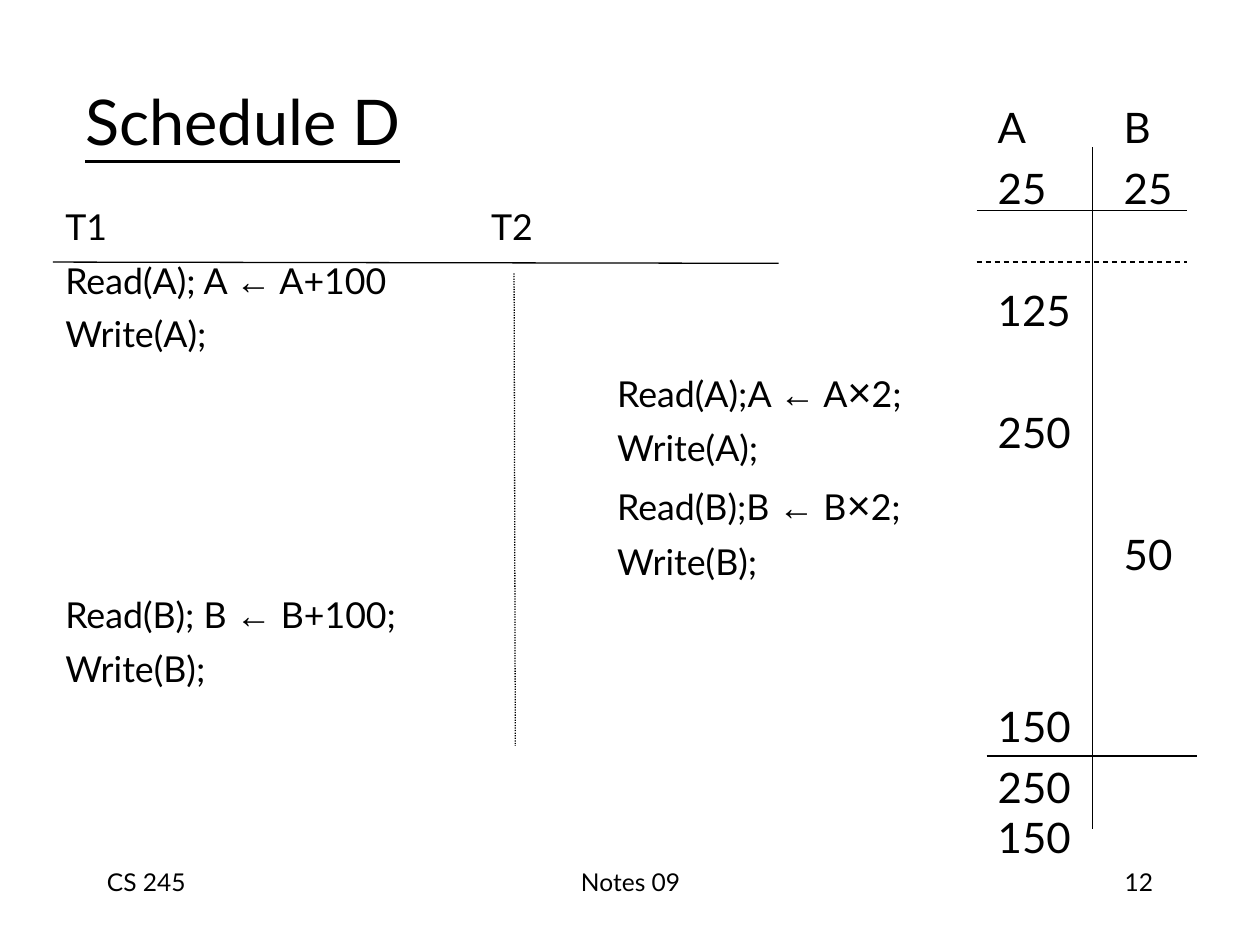
from dataclasses import dataclass
from itertools import groupby
from typing import Optional

from lxml.etree import SubElement as Sub
from pptx import Presentation
from pptx.dml.color import RGBColor as Color
from pptx.enum.dml import MSO_LINE as Dash
from pptx.enum.shapes import MSO_CONNECTOR as Link
from pptx.enum.text import MSO_ANCHOR as Anchor, PP_ALIGN as Align
from pptx.oxml.ns import qn
from pptx.util import Inches, Pt


@dataclass(frozen=True)
class Theme:
    ink: Color = Color(0, 0, 0)
    face: str = "Lato"
    sign: str = "Arial"
    title: float = 36
    state: float = 24
    step: float = 20.4
    times: float = 23.8
    foot: float = 14
    gap: float = 6
    rule: float = 0.75


@dataclass(frozen=True)
class Row:
    text: str
    tab: float = 0
    gap: float = 6


@dataclass(frozen=True)
class Box:
    left: float
    top: float
    width: float
    height: float
    size: float
    rows: tuple[Row, ...]
    align: Align = Align.LEFT
    anchor: Anchor = Anchor.TOP
    under: Optional[bool] = None


@dataclass(frozen=True)
class Rule:
    start: tuple[float, float]
    end: tuple[float, float]
    dash: Optional[Dash] = None


THEME = Theme()
SIGNS = "←×"
HEAD, CODE, COL = 3.38, 4.38, 1
SKIP = THEME.gap * 2 + THEME.state * 1.2

STEPS = (
    Row("T1\tT2", HEAD),
    Row("Read(A); A ← A+100"),
    Row("Write(A);"),
    Row("\tRead(A);A ← A×2;", CODE),
    Row("\tWrite(A);", CODE),
    Row("\tRead(B);B ← B×2;", CODE),
    Row("\tWrite(B);", CODE),
    Row("Read(B); B ← B+100;"),
    Row("Write(B);"),
)
STATES = (
    Row("A\tB", COL),
    Row("25\t25", COL),
    Row("125", gap=SKIP),
    Row("250", gap=SKIP),
    Row("\t50", COL, SKIP),
    Row("150", gap=SKIP + THEME.state * 1.2),
    Row("250"),
    Row("150", gap=0),
)
BOXES = (
    Box(0.58, 0.33, 8.5, 1.25, THEME.title, (Row("Schedule D"),),
        anchor=Anchor.MIDDLE, under=True),
    Box(0.42, 1.58, 7.17, 4.75, THEME.step, STEPS),
    Box(7.82, 0.76, 1.77, 6.1, THEME.state, STATES),
    Box(0.75, 6.83, 2.08, 0.5, THEME.foot, (Row("CS 245"),)),
    Box(3.42, 6.83, 3.17, 0.5, THEME.foot, (Row("Notes 09"),), Align.CENTER),
    Box(7.17, 6.83, 2.08, 0.5, THEME.foot, (Row("12"),), Align.RIGHT),
)
RULES = (
    Rule((0.42, 2.08), (6.18, 2.09)),
    Rule((4.08, 2.17), (4.09, 5.92), Dash.ROUND_DOT),
    Rule((7.75, 1.67), (9.42, 1.67)),
    Rule((7.75, 2.08), (9.42, 2.08), Dash.DASH),
    Rule((8.67, 1.17), (8.67, 6.58)),
    Rule((7.83, 6), (9.5, 6)),
)


def add_row(para, row: Row, box: Box, first: bool) -> None:
    para.alignment = box.align
    para.space_before = Pt(0 if first else row.gap)
    if row.tab:
        tabs = Sub(para._p.get_or_add_pPr(), qn("a:tabLst"))
        Sub(tabs, qn("a:tab"), pos=str(Inches(row.tab)), algn="l")
    font = para.font
    font.name, font.size, font.underline = THEME.face, Pt(box.size), box.under
    font.color.rgb = THEME.ink
    for mark, part in groupby(row.text, lambda char: char if char in SIGNS else ""):
        run = para.add_run()
        run.text = "".join(part)
        if mark:
            run.font.name = THEME.sign
        if mark == "×":
            run.font.size = Pt(THEME.times)


def add_box(slide, box: Box) -> None:
    frame = slide.shapes.add_textbox(
        Inches(box.left), Inches(box.top), Inches(box.width), Inches(box.height)
    ).text_frame
    frame.word_wrap = True
    frame.vertical_anchor = box.anchor
    for num, row in enumerate(box.rows):
        para = frame.add_paragraph() if num else frame.paragraphs[0]
        add_row(para, row, box, num == 0)


def add_rule(slide, rule: Rule) -> None:
    ends = [Inches(num) for num in rule.start + rule.end]
    link = slide.shapes.add_connector(Link.STRAIGHT, *ends)
    link.line.color.rgb = THEME.ink
    link.line.width = Pt(THEME.rule)
    if rule.dash:
        link.line.dash_style = rule.dash
    Sub(link._element.spPr, qn("a:effectLst"))


def main() -> None:
    deck = Presentation()
    deck.slide_width, deck.slide_height = Inches(10), Inches(7.5)
    slide = deck.slides.add_slide(deck.slide_layouts[6])
    for box in BOXES:
        add_box(slide, box)
    for rule in RULES:
        add_rule(slide, rule)
    deck.save("out.pptx")


if __name__ == "__main__":
    main()
